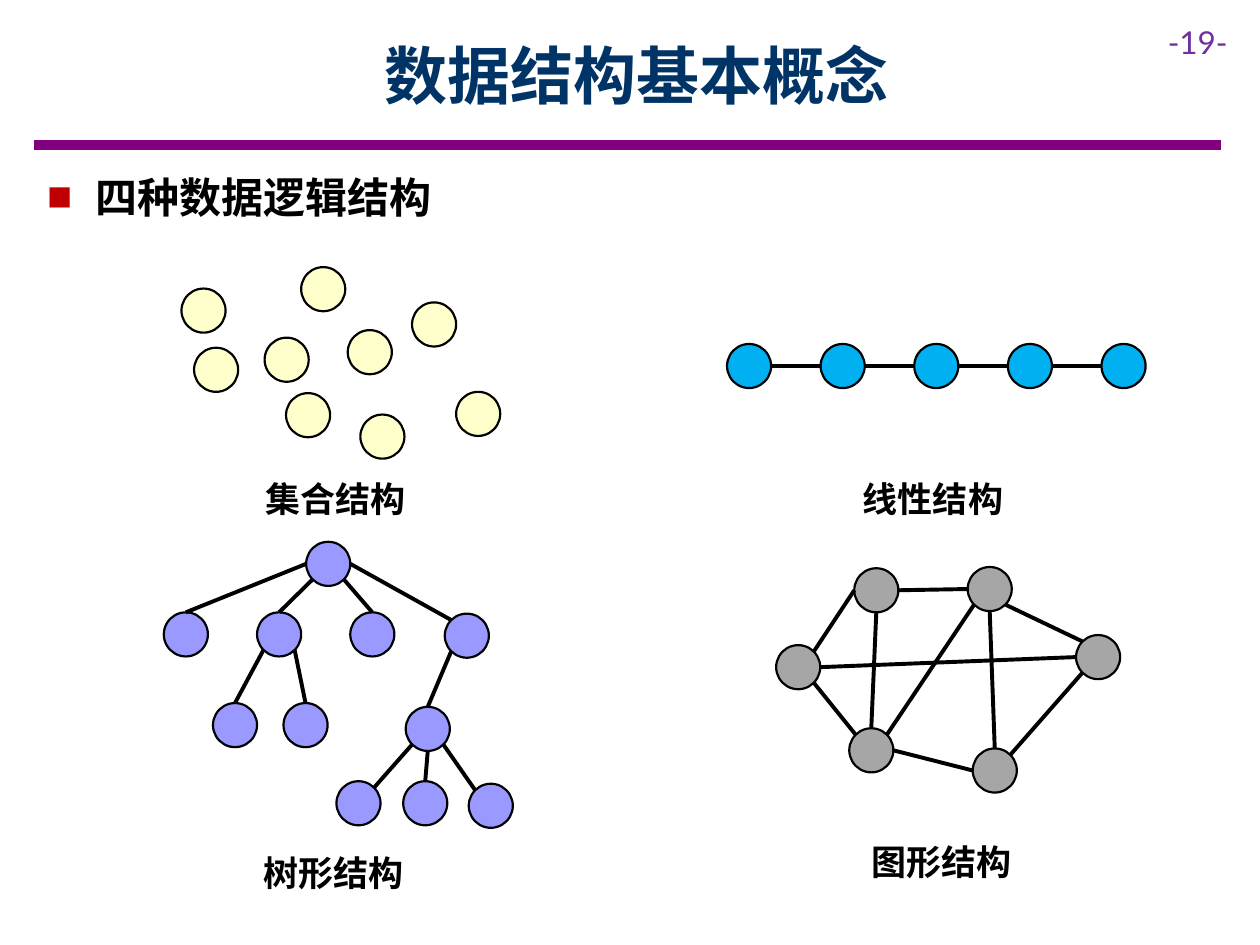
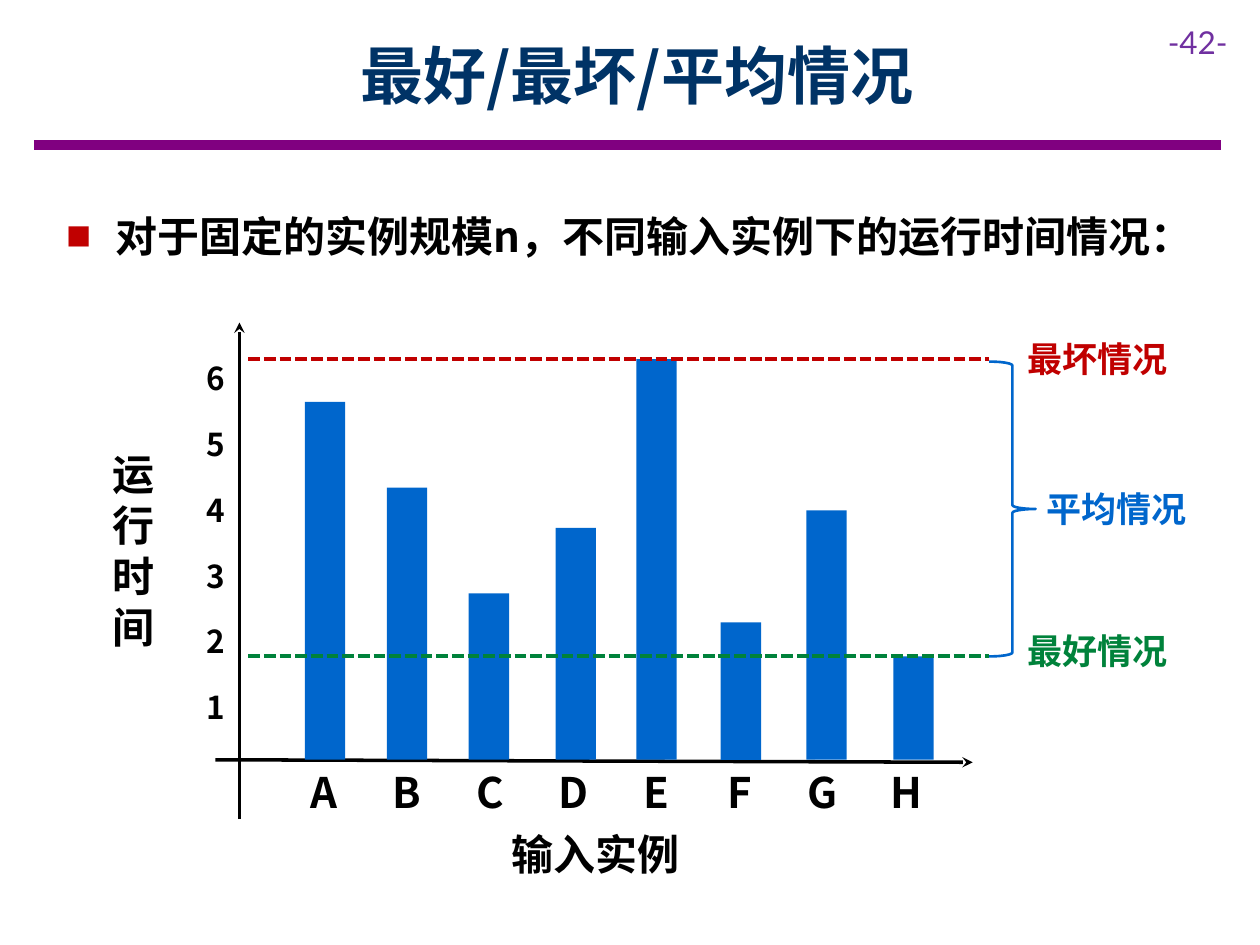
from math import cos, radians, sin

from lxml.etree import SubElement
from pptx import Presentation
from pptx.dml.color import RGBColor
from pptx.enum.dml import MSO_LINE
from pptx.enum.shapes import MSO_CONNECTOR, MSO_SHAPE
from pptx.enum.text import MSO_ANCHOR, PP_ALIGN
from pptx.oxml.ns import qn
from pptx.util import Inches, Pt

COLORS = {
    "paper": "FFFFFF", "ink": "000000", "title": "003366", "rule": "800080",
    "number": "7030A0", "bullet": "C00000", "set": "FFFFCC", "linear": "00B0F0",
    "tree": "9999FF", "graph": "A6A6A6", "bar": "0066CC", "worst": "C00000",
    "best": "00823B", "average": "0066CC",
}
CJK, LATIN = "Noto Sans CJK SC", "Lato"
WIDTH, HEIGHT = 10, 7.5
NODE = 0.35

STRUCTURES = [
    {
        "kind": "set", "label": "集合结构", "label_at": (2.01, 3.74),
        "nodes": [(1.44, 2.29), (1.54, 2.76), (2.76, 2.62), (2.1, 2.68), (2.39, 2.12),
                  (2.27, 3.12), (3.27, 2.4), (2.86, 3.29), (3.62, 3.11)],
        "edges": [],
    },
    {
        "kind": "linear", "label": "线性结构", "label_at": (6.75, 3.74),
        "nodes": [(5.77 + 0.743 * step, 2.73) for step in range(5)],
        "edges": [(step, "E", step + 1, "W") for step in range(4)],
    },
    {
        "kind": "tree", "label": "树形结构", "label_at": (1.99, 6.71),
        "nodes": [(2.43, 4.3), (1.3, 4.86), (2.04, 4.86), (2.78, 4.86), (3.53, 4.87),
                  (1.69, 5.58), (2.25, 5.58), (3.22, 5.61),
                  (2.67, 6.2), (3.2, 6.2), (3.72, 6.22)],
        "edges": [(0, "W", 1, "N"), (0, "SW", 2, "N"), (0, "SE", 3, "N"), (0, "E", 4, "NW"),
                  (2, "SW", 5, "N"), (2, "SE", 6, "N"), (4, "SW", 7, "N"),
                  (7, "SW", 8, "NE"), (7, "S", 9, "N"), (7, "SE", 10, "NW")],
    },
    {
        "kind": "graph", "label": "图形结构", "label_at": (6.82, 6.62),
        "nodes": [(6.16, 5.12), (6.78, 4.51), (7.68, 4.5),
                  (8.54, 5.04), (7.72, 5.94), (6.74, 5.78)],
        "edges": [(2, "SE", 3, "NW"), (1, "E", 2, "W"), (0, "NE", 1, "W"),
                  (5, "NE", 2, "SW"), (5, "NW", 0, "SE"), (4, "W", 5, "E"),
                  (4, "N", 2, "S"), (4, "NE", 3, "SW"), (0, "E", 3, "W"), (1, "S", 5, "N")],
    },
]
COMPASS = {name: 45 * turn for turn, name in
           enumerate(["E", "SE", "S", "SW", "W", "NW", "N", "NE"])}

BARS = [("A", 2.42, 3.19), ("B", 3.07, 3.87), ("C", 3.72, 4.71), ("D", 4.41, 4.19),
        ("E", 5.05, 2.85), ("F", 5.72, 4.94), ("G", 6.4, 4.05), ("H", 7.09, 5.21)]
BASELINE, BAR_WIDTH = 6.03, 0.32
WORST_Y, BEST_Y, LIMIT_LEFT, LIMIT_RIGHT = 2.85, 5.21, 1.97, 7.85
CASES = [("最坏情况", "worst", 7.61, 2.63), ("最好情况", "best", 7.61, 4.95),
         ("平均情况", "average", 7.76, 3.82)]


def color(name):
    return RGBColor.from_string(COLORS[name])


def inches(*lengths):
    return [Inches(length) for length in lengths]


def write(para, text, size, tone, bold=True, font=CJK):
    span = para.add_run()
    span.text = text
    span.font.size, span.font.bold, span.font.name = Pt(size), bold, font
    span.font.color.rgb = color(tone)
    SubElement(span.font._element, qn("a:ea"), typeface=font)


def add_text(page, place, text, size, tone="ink", align=PP_ALIGN.CENTER,
             bullet_indent=0, bold=True, font=CJK):
    box = page.shapes.add_textbox(*inches(*place))
    box.text_frame.word_wrap = True
    para = box.text_frame.paragraphs[0]
    if bullet_indent:
        add_bullet(para, bullet_indent)
    para.alignment = align
    para.line_spacing = Pt(round(size * 1.2))
    write(para, text, size, tone, bold, font)
    return box


def add_bullet(para, indent):
    settings = para._p.get_or_add_pPr()
    settings.set("marL", str(Inches(indent)))
    settings.set("indent", str(-Inches(indent)))
    SubElement(SubElement(settings, qn("a:buClr")), qn("a:srgbClr"), val=COLORS["bullet"])
    SubElement(settings, qn("a:buSzPct"), val="60000")
    SubElement(settings, qn("a:buFont"), typeface=CJK)
    SubElement(settings, qn("a:buChar"), char="■")


def add_line(page, start, end, tone="ink", weight=2.25, dash=None, arrow=False):
    line = page.shapes.add_connector(MSO_CONNECTOR.STRAIGHT, *inches(*start, *end))
    line.line.color.rgb = color(tone)
    line.line.width = Pt(weight)
    if dash:
        line.line.dash_style = dash
    if arrow:
        SubElement(line.line._get_or_add_ln(), qn("a:tailEnd"), type="stealth")
    SubElement(line._element.spPr, qn("a:effectLst"))


def add_figure(page, preset, place, fill=None, outline=None, weight=1.25):
    figure = page.shapes.add_shape(preset, *inches(*place))
    figure.shadow.inherit = False
    if fill:
        figure.fill.solid()
        figure.fill.fore_color.rgb = color(fill)
    else:
        figure.fill.background()
    if outline:
        figure.line.color.rgb = color(outline)
        figure.line.width = Pt(weight)
    else:
        figure.line.fill.background()


def add_page(deck, title, number):
    page = deck.slides.add_slide(deck.slide_layouts[5])
    add_line(page, (0.27, 1.15), (9.69, 1.15), "rule", 6)
    add_text(page, (9.17, 0.13, 0.83, 0.4), f"-{number}-", 18, "number",
             PP_ALIGN.LEFT, bold=False, font=LATIN)
    heading = page.shapes.title
    heading.left, heading.top, heading.width, heading.height = inches(0.9, 0.09, 8.31, 1)
    heading.text_frame.vertical_anchor = MSO_ANCHOR.MIDDLE
    para = heading.text_frame.paragraphs[0]
    para.alignment = PP_ALIGN.CENTER
    write(para, title, 36, "title")
    return page


def rim_point(node, direction):
    angle = radians(COMPASS[direction])
    return (node[0] + NODE / 2 * (1 + cos(angle)), node[1] + NODE / 2 * (1 + sin(angle)))


def add_structure(page, kind, label, label_at, nodes, edges):
    for node in nodes:
        add_figure(page, MSO_SHAPE.OVAL, (*node, NODE, NODE), kind, "ink")
    for first, leaving, second, arriving in edges:
        add_line(page, rim_point(nodes[first], leaving), rim_point(nodes[second], arriving))
    box = add_text(page, (*label_at, 1.71, 0.44), label, 20, align=PP_ALIGN.LEFT)
    box.fill.solid()
    box.fill.fore_color.rgb = color("paper")


def build_structures(deck):
    page = add_page(deck, "数据结构基本概念", 19)
    add_text(page, (0.28, 1.31, 3.5, 0.5), "四种数据逻辑结构", 24,
             align=PP_ALIGN.LEFT, bullet_indent=0.38)
    for structure in STRUCTURES:
        add_structure(page, **structure)


def build_cases(deck):
    page = add_page(deck, "最好/最坏/平均情况", 42)
    add_text(page, (0.43, 1.62, 9.2, 0.5),
             "对于固定的实例规模n，不同输入实例下的运行时间情况：", 24,
             align=PP_ALIGN.LEFT, bullet_indent=0.39)
    add_line(page, (1.71, BASELINE), (7.72, 6.05), weight=2, arrow=True)
    add_line(page, (1.9, 6.5), (1.9, 2.56), weight=2, arrow=True)
    add_text(page, (3.63, 6.52, 2.2, 0.5), "输入实例", 24)
    for index, (letter, left, top) in enumerate(BARS):
        add_figure(page, MSO_SHAPE.RECTANGLE, (left, top, BAR_WIDTH, BASELINE - top), "bar")
        add_text(page, (2.31 + 0.66 * index, BASELINE, 0.52, 0.5), letter, 24)
    for level, tone in ((WORST_Y, "worst"), (BEST_Y, "best")):
        add_line(page, (LIMIT_LEFT, level), (LIMIT_RIGHT, level), tone,
                 dash=MSO_LINE.SQUARE_DOT)
    add_text(page, (0.7, 3.51, 0.72, 1.72), "运行时间", 24)
    for tick in range(1, 7):
        add_text(page, (1.4, 5.93 - 0.522 * tick, 0.63, 0.4), str(tick), 18)
    for label, tone, left, top in CASES:
        add_text(page, (left, top, 2.2, 0.44), label, 20, tone)
    add_figure(page, MSO_SHAPE.RIGHT_BRACE,
               (LIMIT_RIGHT, WORST_Y + 0.02, 0.37, BEST_Y - WORST_Y - 0.02),
               outline="average", weight=1.5)


def main():
    deck = Presentation()
    deck.slide_width, deck.slide_height = inches(WIDTH, HEIGHT)
    build_structures(deck)
    build_cases(deck)
    deck.save("out.pptx")


if __name__ == "__main__":
    main()
